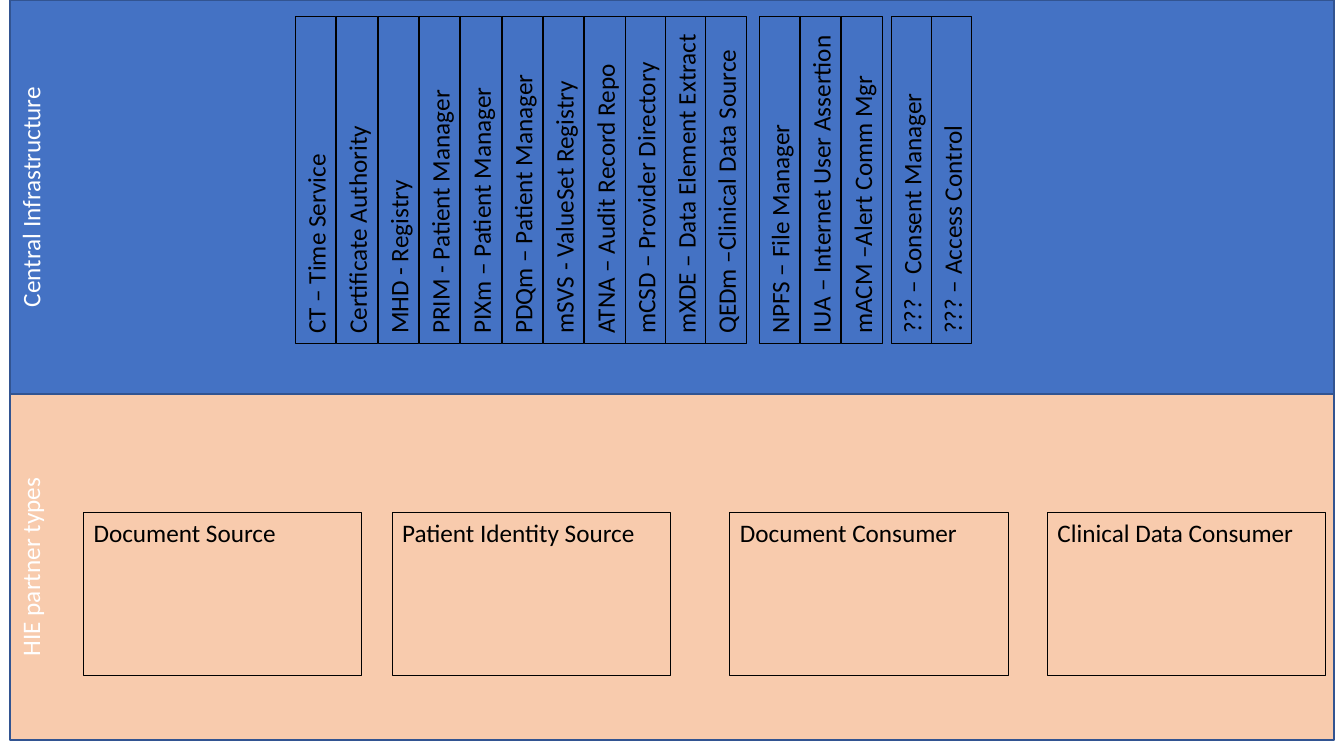
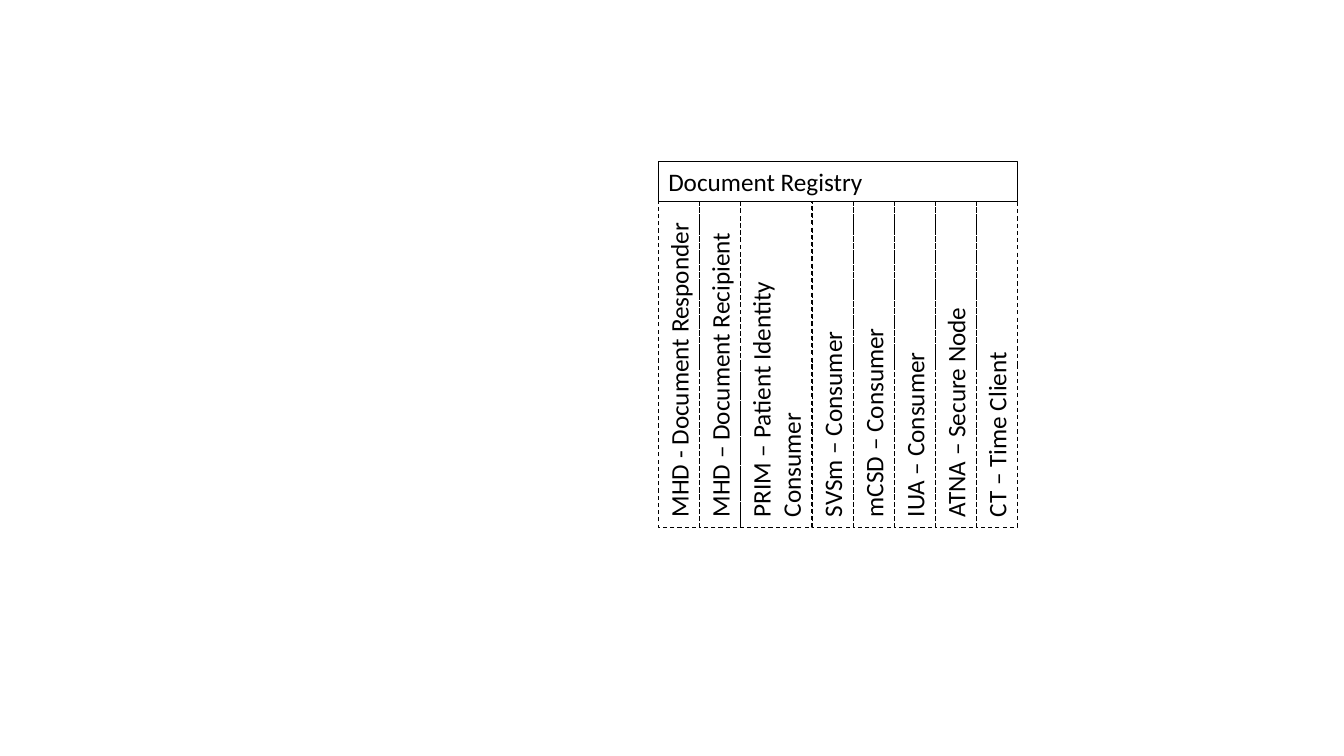
"""Build two slides mapping health information exchange actors to their systems."""
from pptx import Presentation
from pptx.dml.color import RGBColor
from pptx.enum.dml import MSO_LINE
from pptx.enum.shapes import MSO_SHAPE
from pptx.enum.text import MSO_ANCHOR, PP_ALIGN
from pptx.util import Inches, Pt

SLIDE_WIDTH, SLIDE_HEIGHT = 13.33, 7.5
BLACK, WHITE, BAND_EDGE = "000000", "FFFFFF", "325491"
LABEL_HEIGHT = 0.4

BAND_LEFT, BAND_WIDTH = 0.1, 13.13
BANDS = [
    ("Central Infrastructure", "4472C4", 3.91),
    ("HIE partner types", "F8CBAD", 3.43),
]

SERVICE_TOP, SERVICE_LENGTH = 0.16, 3.25
SERVICE_GROUPS = [
    (2.93, 0.41, ["CT – Time Service", "Certificate Authority", "MHD - Registry",
                  "PRIM - Patient Manager", "PIXm – Patient Manager",
                  "PDQm – Patient Manager", "mSVS - ValueSet Registry"]),
    (5.8, 0.4, ["ATNA – Audit Record Repo", "mCSD – Provider Directory",
                "mXDE – Data Element Extract", "QEDm –Clinical Data Source"]),
    (7.53, 0.41, ["NPFS – File Manager", "IUA – Internet User Assertion",
                  "mACM –Alert Comm Mgr"]),
    (8.84, 0.4, ["??? – Consent Manager", "??? – Access Control"]),
]

PARTNER_TOP, PARTNER_WIDTH, PARTNER_HEIGHT = 5.08, 2.76, 1.62
PARTNERS = [
    ("Document Source", 0.83),
    ("Patient Identity Source", 3.89),
    ("Document Consumer", 7.24),
    ("Clinical Data Consumer", 10.39),
]

REGISTRY_LEFT, REGISTRY_TOP, REGISTRY_WIDTH = 6.53, 1.6, 3.56
ROLE_LENGTH, WIDE_ROLE = 3.23, 0.71
REGISTRY = "Document Registry"
ROLES = [
    ("MHD - Document Responder", 1),
    ("MHD – Document Recipient", 1),
    ("PRIM – Patient Identity Consumer", 2),
    ("SVSm – Consumer", 1),
    ("mCSD – Consumer", 1),
    ("IUA – Consumer", 1),
    ("ATNA – Secure Node", 1),
    ("CT – Time Client", 1),
]


def color(value):
    """Turn a hex string into a colour."""
    return RGBColor.from_string(value)


def add_box(slide, text, left, top, width, height, upright=False, fill=None,
            edge=BLACK, weight=0.75, dash=None, ink=BLACK, align=PP_ALIGN.LEFT):
    """Add a labelled rectangle, given by its visible frame."""
    if upright:
        left, top = left + (width - height) / 2, top + (height - width) / 2
        width, height = height, width
    shape = slide.shapes.add_shape(
        MSO_SHAPE.RECTANGLE, *(Inches(n) for n in (left, top, width, height)))
    shape.shadow.inherit = False
    shape.rotation = 270 if upright else 0
    if fill:
        shape.fill.solid()
        shape.fill.fore_color.rgb = color(fill)
    else:
        shape.fill.background()
    shape.line.color.rgb = color(edge)
    shape.line.width = Pt(weight)
    if dash:
        shape.line.dash_style = dash
    frame = shape.text_frame
    frame.word_wrap = True
    frame.vertical_anchor = MSO_ANCHOR.TOP
    paragraph = frame.paragraphs[0]
    paragraph.alignment = align
    run = paragraph.add_run()
    run.text = text
    for name, value in {"name": "Calibri", "size": Pt(18)}.items():
        setattr(run.font, name, value)
    run.font.color.rgb = color(ink)


def build_overview(slide):
    """Draw the central services above the partner types."""
    top = 0
    for text, fill, height in BANDS:
        add_box(slide, text, BAND_LEFT, top, BAND_WIDTH, height, upright=True,
                fill=fill, edge=BAND_EDGE, weight=1, ink=WHITE, align=PP_ALIGN.CENTER)
        top += height
    for left, pitch, services in SERVICE_GROUPS:
        for index, text in enumerate(services):
            add_box(slide, text, left + index * pitch, SERVICE_TOP,
                    LABEL_HEIGHT, SERVICE_LENGTH, upright=True)
    for text, left in PARTNERS:
        add_box(slide, text, left, PARTNER_TOP, PARTNER_WIDTH, PARTNER_HEIGHT)


def build_registry(slide):
    """Draw the document registry with its roles hanging below."""
    add_box(slide, REGISTRY, REGISTRY_LEFT, REGISTRY_TOP, REGISTRY_WIDTH, LABEL_HEIGHT)
    narrow = (REGISTRY_WIDTH - WIDE_ROLE) / (len(ROLES) - 1)
    left = REGISTRY_LEFT
    for text, lines in ROLES:
        width = narrow if lines == 1 else WIDE_ROLE
        add_box(slide, text, left, REGISTRY_TOP + LABEL_HEIGHT, width, ROLE_LENGTH,
                upright=True, dash=MSO_LINE.DASH)
        left += width


def main():
    """Build and save the presentation."""
    presentation = Presentation()
    presentation.slide_width = Inches(SLIDE_WIDTH)
    presentation.slide_height = Inches(SLIDE_HEIGHT)
    for build in (build_overview, build_registry):
        build(presentation.slides.add_slide(presentation.slide_layouts[6]))
    presentation.save("out.pptx")


if __name__ == "__main__":
    main()
